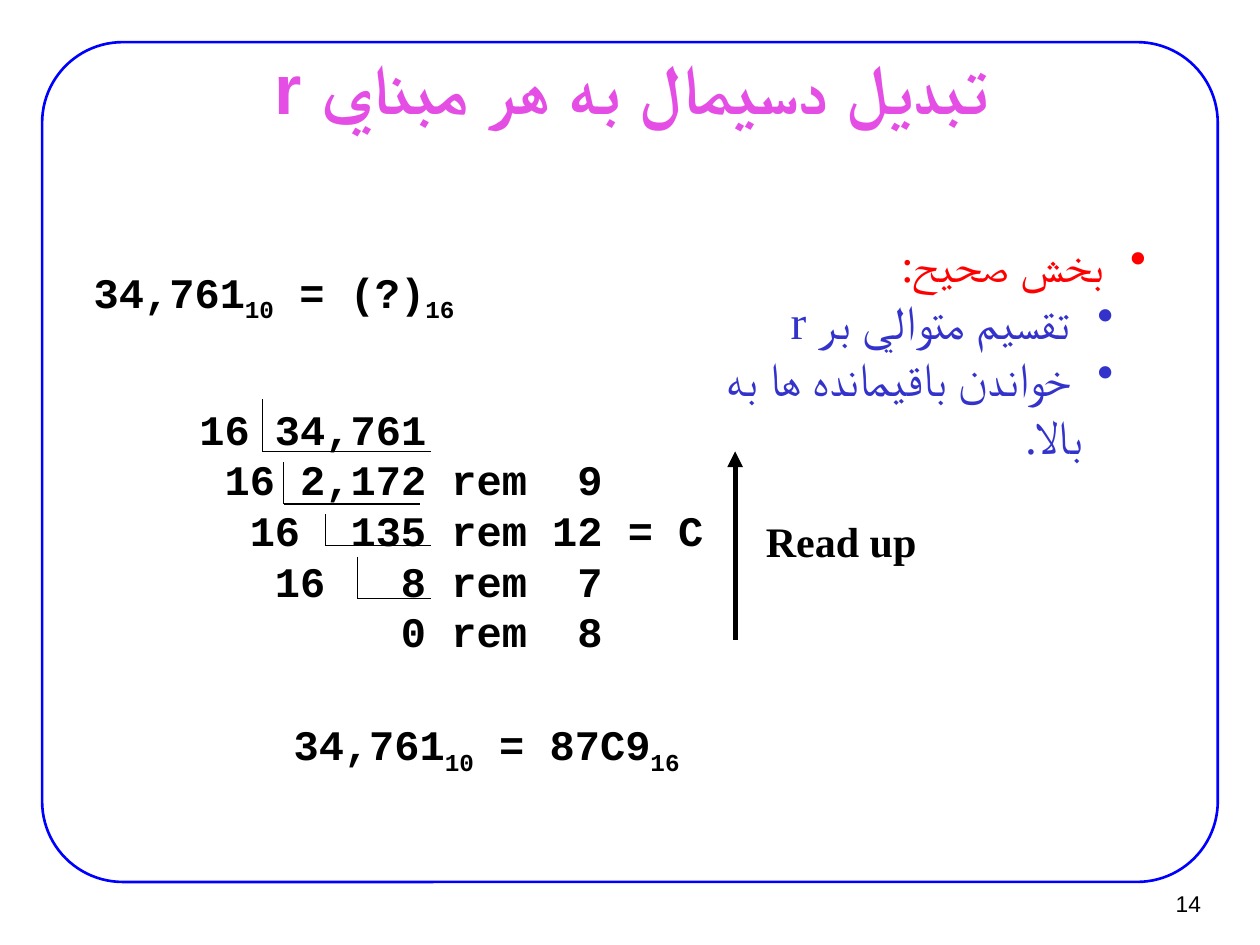
from lxml import etree
from pptx import Presentation, util as u
from pptx.dml.color import RGBColor
from pptx.enum import shapes, text
from pptx.oxml.ns import qn

BLACK = RGBColor(0x00, 0x00, 0x00)
FRAME_BLUE = RGBColor(0x00, 0x00, 0xFF)
TITLE_PINK = RGBColor(0xE4, 0x4E, 0xE4)
HEADING_RED = RGBColor(0xFF, 0x00, 0x00)
BULLET_BLUE = RGBColor(0x33, 0x33, 0xCC)

TITLE = "تبديل دسيمال به هر مبناي r"
# text, colour, indent from the right edge in cm
BULLETS = [
    (" بخش صحيح:", HEADING_RED, 1.12),
    (" تقسيم متوالي بر r", BULLET_BLUE, 1.78),
    (" خواندن باقيمانده ها به بالا.", BULLET_BLUE, 1.78),
]
HANGING = 0.64
# left, top, width, height in cm; then (text, is subscript)
EQUATIONS = [
    ((1.64, 5.24, 7.95, 1.27),
     [("34,761", False), ("10", True), (" = (?)", False), ("16", True)]),
    ((5.67, 14.36, 8.46, 1.27),
     [("34,761", False), ("10", True), (" = 87C9", False), ("16", True)]),
]
# divisor, quotient, remainder, hexadecimal digit
DIVISIONS = [
    ("16", "34,761", "", ""),
    ("16", "2,172", "9", ""),
    ("16", "135", "12", "= C"),
    ("16", "8", "7", ""),
    ("", "0", "8", ""),
]
CODE_SIZE = 24
CHARACTER = u.Pt(0.6 * CODE_SIZE)  # Courier New advance width
# tab stops after the divisor, in characters
COLUMNS = [(9, "r"), (10, "l"), (16, "r"), (17, "l")]
# left, top, bottom, right in cm
BRACKETS = [
    (5.29, 8.05, 9.1, 8.68),
    (5.72, 9.32, 10.16, 8.46),
    (6.56, 10.37, 11.0, 8.68),
    (7.2, 11.22, 12.06, 8.68),
]


def add_text_box(slide, box, anchor=text.MSO_ANCHOR.TOP):
    frame = slide.shapes.add_textbox(*(u.Cm(value) for value in box)).text_frame
    frame.word_wrap = True
    frame.vertical_anchor = anchor
    return frame


def next_paragraph(frame, index):
    return frame.add_paragraph() if index else frame.paragraphs[0]


def style(paragraph, font_name, size, color, bold=False):
    """Format all runs, with the same font for Latin and Arabic script."""
    for run in paragraph.runs:
        run.font.name = font_name
        run.font.size = u.Pt(size)
        run.font.bold = bold
        run.font.color.rgb = color
        etree.SubElement(run.font._element, qn("a:cs"), typeface=font_name)


def add_line(slide, start, end, width):
    line = slide.shapes.add_connector(
        shapes.MSO_CONNECTOR.STRAIGHT, *(u.Cm(value) for value in (*start, *end)))
    line.line.color.rgb = BLACK
    line.line.width = u.Pt(width)
    etree.SubElement(line._element.spPr, qn("a:effectLst"))
    return line


def add_frame(slide):
    frame = slide.shapes.add_shape(
        shapes.MSO_SHAPE.ROUNDED_RECTANGLE,
        u.Cm(0.85), u.Cm(0.85), u.Cm(23.7), u.Cm(16.93))
    frame.adjustments[0] = 0.096
    frame.shadow.inherit = False
    frame.fill.background()
    frame.line.color.rgb = FRAME_BLUE
    frame.line.width = u.Pt(1.5)


def add_label(slide, box, words, font, alignment, anchor=text.MSO_ANCHOR.MIDDLE):
    paragraph = add_text_box(slide, box, anchor).paragraphs[0]
    paragraph.text = words
    paragraph.alignment = alignment
    style(paragraph, *font)
    return paragraph


def add_bullets(slide):
    frame = add_text_box(slide, (13.7, 4.62, 10.15, 3.68))
    for index, (words, color, indent) in enumerate(BULLETS):
        paragraph = next_paragraph(frame, index)
        paragraph.text = words
        paragraph.alignment = text.PP_ALIGN.RIGHT
        paragraph.line_spacing = u.Pt(32.6)
        style(paragraph, "Times New Roman", 27, color)
        properties = paragraph._p.get_or_add_pPr()
        properties.set("rtl", "1")
        properties.set("marL", str(u.Cm(indent)))
        properties.set("indent", str(-u.Cm(HANGING)))
        etree.SubElement(properties, qn("a:buChar"), char="•")


def add_equation(slide, box, parts):
    paragraph = add_text_box(slide, box).paragraphs[0]
    paragraph.space_before = u.Pt(4.8)
    for words, is_subscript in parts:
        run = paragraph.add_run()
        run.text = words
        if is_subscript:
            run.font._element.set("baseline", "-25000")
    style(paragraph, "Courier New", CODE_SIZE, BLACK, True)


def add_divisions(slide):
    """Each row starts one character further right; tab stops hold the columns."""
    frame = add_text_box(slide, (3.77, 8.0, 11, 5.3))
    for row, (divisor, quotient, remainder, digit) in enumerate(DIVISIONS):
        cells = [divisor, quotient]
        if remainder:
            cells += ["rem", remainder]
        if digit:
            cells.append(digit)
        stops = list(COLUMNS)
        if row and divisor:
            cells.insert(0, "")
            stops.insert(0, (row, "l"))
        paragraph = next_paragraph(frame, row)
        run = paragraph.add_run()
        run.text = "\t".join(cells)
        paragraph.line_spacing = u.Pt(28.9)
        style(paragraph, "Courier New", CODE_SIZE, BLACK, True)
        tab_list = etree.SubElement(paragraph._p.get_or_add_pPr(), qn("a:tabLst"))
        for position, alignment in stops:
            etree.SubElement(tab_list, qn("a:tab"),
                             pos=str(position * CHARACTER), algn=alignment)


def main():
    presentation = Presentation()
    presentation.slide_width = u.Cm(25.4)
    presentation.slide_height = u.Cm(19.05)
    slide = presentation.slides.add_slide(presentation.slide_layouts[6])

    add_frame(slide)
    add_label(slide, (22.91, 17.75, 1.55, 0.94), "14",
              ("Arial", 13, BLACK), text.PP_ALIGN.RIGHT)
    title = add_label(slide, (1.93, 1.12, 21.59, 1.24), TITLE,
                      ("Arial", 40, TITLE_PINK, True), text.PP_ALIGN.CENTER)
    title._p.get_or_add_pPr().set("rtl", "1")
    add_bullets(slide)
    add_divisions(slide)
    for left, top, bottom, right in BRACKETS:
        add_line(slide, (left, top), (left, bottom), 0.75)
        add_line(slide, (left, bottom), (right, bottom), 0.75)

    arrow = add_line(slide, (14.82, 12.9), (14.82, 9.1), 3)
    etree.SubElement(arrow.line._get_or_add_ln(), qn("a:tailEnd"), type="triangle")
    add_label(slide, (15.19, 10.26, 3.58, 1.3), "Read up",
              ("Times New Roman", 24, BLACK, True),
              text.PP_ALIGN.LEFT, text.MSO_ANCHOR.TOP)
    for box, parts in EQUATIONS:
        add_equation(slide, box, parts)

    presentation.save("out.pptx")


if __name__ == "__main__":
    main()
